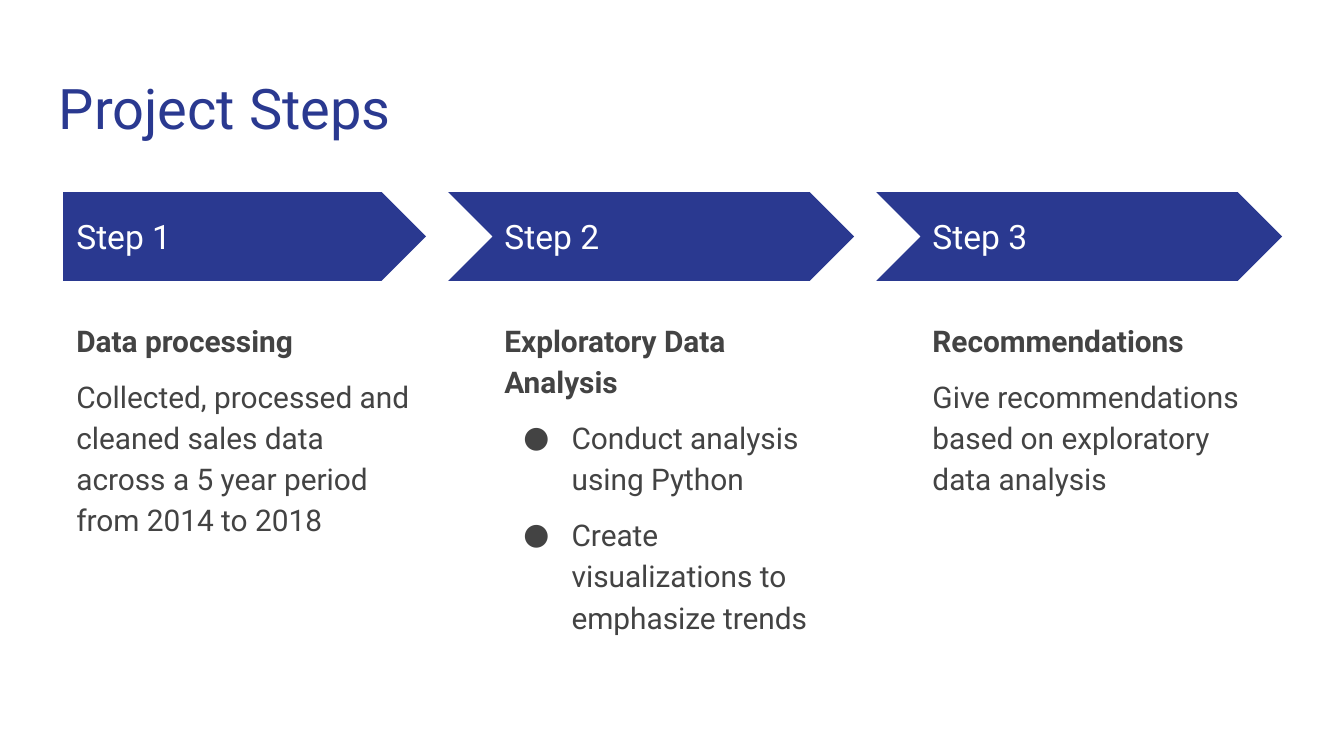
from lxml.etree import SubElement
from pptx import Presentation
from pptx.dml.color import RGBColor
from pptx.enum.shapes import MSO_SHAPE as SHAPE
from pptx.enum.text import MSO_ANCHOR as ANCHOR
from pptx.oxml.ns import qn
from pptx.util import Inches, Pt

NAVY = RGBColor(0x2A, 0x39, 0x90)
GREY = RGBColor(0x43, 0x43, 0x43)
WHITE = RGBColor(0xFF, 0xFF, 0xFF)

# Column grid, in inches
LEFT, PITCH, COL_W = 0.47, 3.185, 2.7
NOTCH = 0.32  # how far a chevron reaches left of its column
BAR_TOP, BAR_H = 1.43, 0.66
LABEL_W, LABEL_H = 2.47, 0.34
BODY_TOP, BODY_H = 2.26, 2.9

TITLE = dict(size=Pt(30), color=NAVY)
LABEL = dict(size=Pt(18), color=WHITE)
HEADING = dict(size=Pt(16), color=GREY, bold=True)
BODY = dict(size=Pt(16), color=GREY, bold=False)
HEADING_SPACING = dict(line_spacing=1.15)
BODY_SPACING = dict(line_spacing=1.15, space_before=Pt(8), space_after=Pt(8))
BULLET_SPACING = dict(line_spacing=1.15, space_before=Pt(8))

STEPS = [
    ("Data processing", False,
     ["Collected, processed and cleaned sales data across a 5 year period from 2014 to 2018"]),
    ("Exploratory Data Analysis", True,
     ["Conduct analysis using Python", "Create visualizations to emphasize trends"]),
    ("Recommendations", False,
     ["Give recommendations based on exploratory data analysis"]),
]

prs = Presentation()
prs.slide_width, prs.slide_height = Inches(10), Inches(5.625)
s = prs.slides.add_slide(prs.slide_layouts[6])


def add_box(x, y, w, h, anchor=ANCHOR.TOP):
    """Add a wrapping text box with equal insets and return its text frame."""
    tf = s.shapes.add_textbox(Inches(x), Inches(y), Inches(w), Inches(h)).text_frame
    tf.word_wrap = True
    tf.vertical_anchor = anchor
    for side in ("left", "right", "top", "bottom"):
        setattr(tf, f"margin_{side}", Inches(0.1))
    return tf


def write(p, text, style, spacing={}):
    """Fill a paragraph with one run in the given font and spacing values."""
    r = p.add_run()
    r.text = text
    r.font.name = "Roboto"
    for name, value in style.items():
        if name == "color":
            r.font.color.rgb = value
        else:
            setattr(r.font, name, value)
    for name, value in spacing.items():
        setattr(p, name, value)


write(add_box(0.34, 0.45, 9.32, 0.66).paragraphs[0], "Project Steps", TITLE)

for i, (heading, bulleted, items) in enumerate(STEPS):
    x = LEFT + i * PITCH
    notch = NOTCH if i else 0
    sp = s.shapes.add_shape(SHAPE.CHEVRON if i else SHAPE.PENTAGON,
                            Inches(x - notch), Inches(BAR_TOP),
                            Inches(COL_W + notch), Inches(BAR_H))
    sp.adjustments[0] = 0.5
    sp.shadow.inherit = False
    sp.fill.solid()
    sp.fill.fore_color.rgb = NAVY
    sp.line.fill.background()

    label = add_box(x, BAR_TOP + (BAR_H - LABEL_H) / 2, LABEL_W, LABEL_H, ANCHOR.MIDDLE)
    write(label.paragraphs[0], f"Step {i + 1}", LABEL)

    tf = add_box(x, BODY_TOP, COL_W, BODY_H)
    write(tf.paragraphs[0], heading, HEADING, HEADING_SPACING)
    for item in items:
        p = tf.add_paragraph()
        last = item == items[-1]
        write(p, item, BODY, BODY_SPACING if last else BULLET_SPACING)
        if bulleted:
            pPr = p._p.get_or_add_pPr()
            pPr.set("marL", str(Inches(0.5)))
            pPr.set("indent", str(Inches(-0.36)))
            color = SubElement(pPr, qn("a:buClr"))
            SubElement(color, qn("a:srgbClr"), val=str(GREY))
            SubElement(pPr, qn("a:buFont"), typeface="Roboto")
            SubElement(pPr, qn("a:buChar"), char="●")

prs.save("out.pptx")
